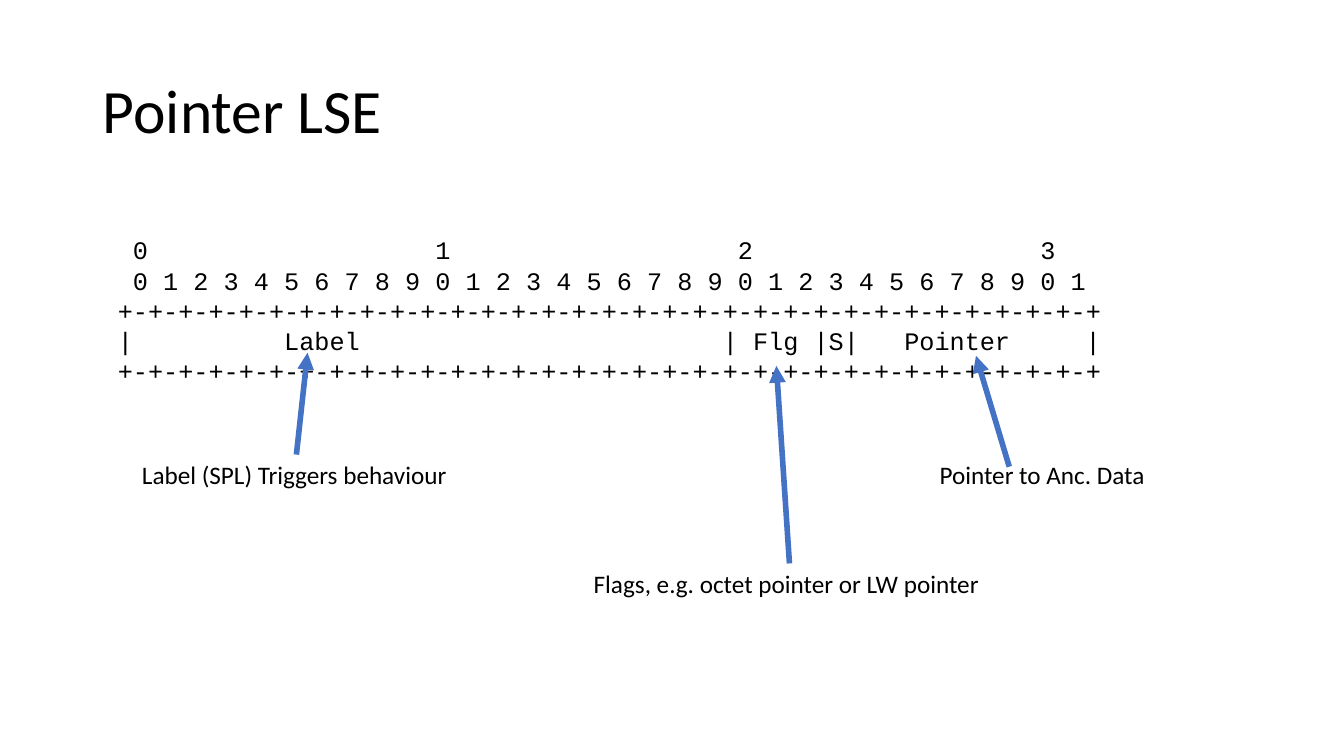
"""Build the Pointer LSE slide: a 32-bit header layout with annotated fields."""
from pptx import Presentation
from pptx.dml.color import RGBColor
from pptx.enum.shapes import MSO_CONNECTOR
from pptx.enum.text import MSO_ANCHOR, MSO_AUTO_SIZE
from pptx.oxml.ns import qn
from pptx.util import Inches, Pt
from lxml import etree

BLACK = RGBColor(0x00, 0x00, 0x00)
BLUE = RGBColor(0x44, 0x72, 0xC4)
STRAIGHT = MSO_CONNECTOR.STRAIGHT
MIDDLE = MSO_ANCHOR.MIDDLE
FIT_SHAPE = MSO_AUTO_SIZE.SHAPE_TO_FIT_TEXT
CHAR_WIDTH = 0.15
BITS = 32

BIT_NUMBERS = " " + " ".join(str(bit % 10) for bit in range(BITS))
BORDER = "+-" * BITS + "+"
HEADER_ROWS = [
    (" 0\t1\t2\t3", (21, 41, 61)),
    (BIT_NUMBERS, ()),
    (BORDER, ()),
    ("|\tLabel\t| Flg |S|\tPointer\t|", (11, 40, 52, 64)),
    (BORDER, ()),
]
NOTES = [
    ("Label (SPL) Triggers behaviour", (1.31, 4.51, 3.26, 0.4)),
    ("Pointer to Anc. Data", (9.22, 4.51, 2.26, 0.4)),
    ("Flags, e.g. octet pointer or LW pointer", (5.79, 5.59, 4.07, 0.4)),
]
ARROWS = [
    ((2.94, 4.51), (3.05, 3.5)),
    ((10.01, 4.63), (9.68, 3.53)),
    ((7.83, 5.59), (7.7, 3.63)),
]


def write(p, text, size=18, font="Calibri", color=BLACK):
    """Add one formatted run to a paragraph."""
    r = p.add_run()
    r.text = text
    r.font.size = Pt(size)
    r.font.name = font
    r.font.color.rgb = color


def set_tabs(p, columns):
    """Set left tab stops at the given character columns."""
    tabs = etree.SubElement(p._p.get_or_add_pPr(), qn("a:tabLst"))
    for column in columns:
        position = str(Inches(column * CHAR_WIDTH))
        etree.SubElement(tabs, qn("a:tab"), pos=position, algn="l")


def add_title(s, text):
    """Place and fill the title placeholder."""
    sp = s.shapes.title
    sp.left, sp.top, sp.width, sp.height = map(Inches, (0.92, 0.4, 11.5, 1.45))
    sp.text_frame.vertical_anchor = MIDDLE
    p = sp.text_frame.paragraphs[0]
    p.alignment = 1
    p.line_spacing = 0.9
    write(p, text, size=44)


def add_box(s, box, wrap):
    """Add a text box and return its text frame."""
    tf = s.shapes.add_textbox(*map(Inches, box)).text_frame
    tf.word_wrap = wrap
    tf.auto_size = FIT_SHAPE
    return tf


def add_header(s):
    """Add the bit layout, one paragraph for each row."""
    tf = add_box(s, (1.07, 2.28, 11.19, 1.92), wrap=True)
    for i, (text, columns) in enumerate(HEADER_ROWS):
        p = tf.add_paragraph() if i else tf.paragraphs[0]
        if columns:
            set_tabs(p, columns)
        write(p, text, font="Courier New")


def add_arrow(s, start, end):
    """Add a blue arrow that points at its end."""
    line = s.shapes.add_connector(STRAIGHT, *map(Inches, start + end))
    line.line.color.rgb = BLUE
    line.line.width = Pt(4)
    etree.SubElement(line.line._get_or_add_ln(), qn("a:tailEnd"), type="triangle")
    etree.SubElement(line._element.spPr, qn("a:effectLst"))


def main():
    """Build and save the slide."""
    prs = Presentation()
    prs.slide_width, prs.slide_height = Inches(13.33), Inches(7.5)
    s = prs.slides.add_slide(prs.slide_layouts[5])
    add_title(s, "Pointer LSE")
    add_header(s)
    for text, box in NOTES:
        write(add_box(s, box, wrap=False).paragraphs[0], text)
    for start, end in ARROWS:
        add_arrow(s, start, end)
    prs.save("out.pptx")


if __name__ == "__main__":
    main()
